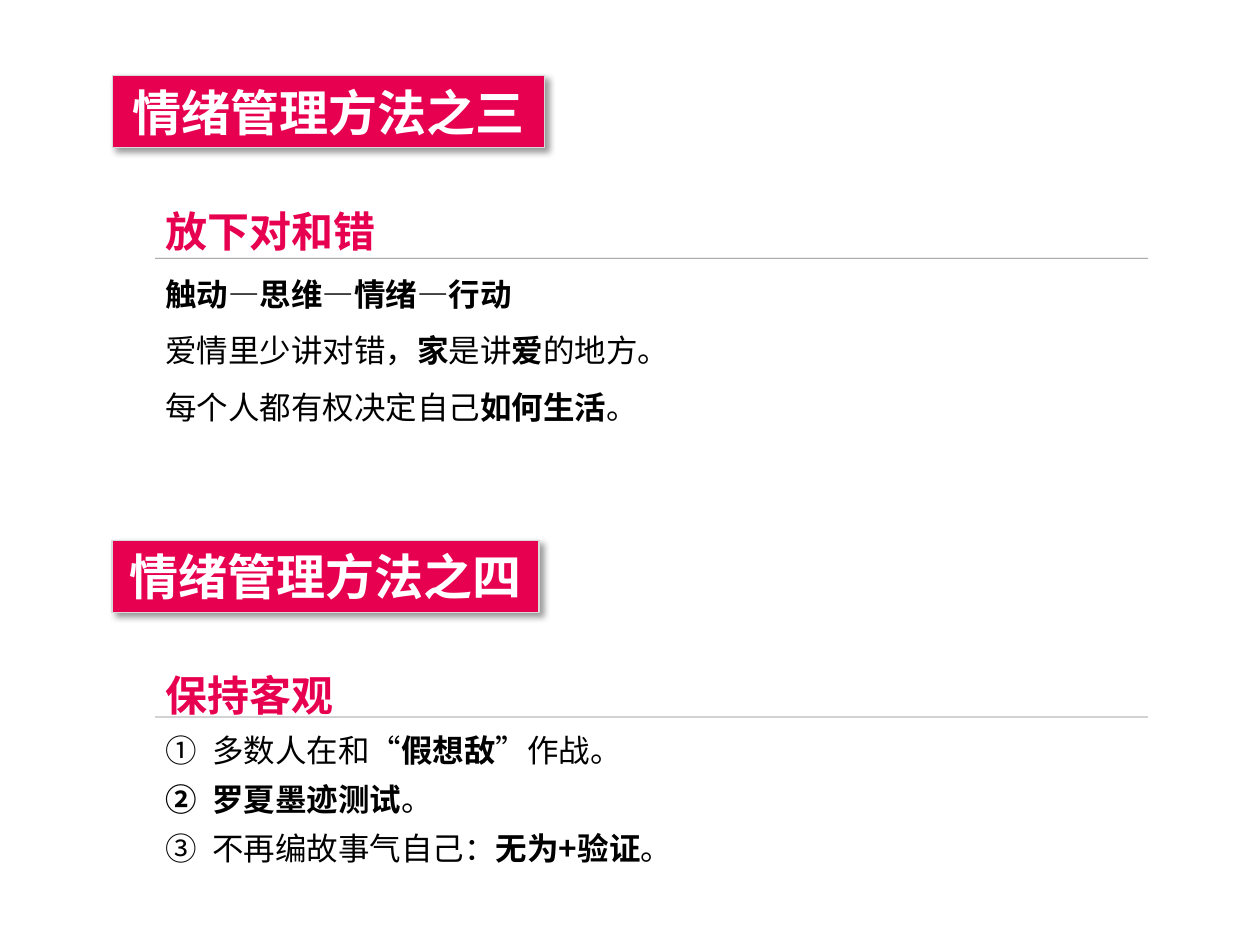
"""Build a slide with two emotion-management methods, each a banner, a rule and a list."""
import pptx
import pptx.dml.color
import pptx.enum.shapes
import pptx.enum.text
import pptx.oxml
import pptx.oxml.ns
import pptx.util
from lxml import etree

Pt = pptx.util.Pt
FONT = "Noto Sans CJK SC"
PINK, WHITE, BLACK, GREY = "E70050", "FFFFFF", "000000", "D9D9D9"
LEFT, BANNER_LEFT, BODY_WIDTH, RULE_WIDTH, BANNER_HEIGHT = 88.6, 64.1, 561.6, 567.4, 41

METHODS = [
    {
        "banner": "情绪管理方法之三", "banner_top": 43.2, "banner_width": 247,
        "heading": "放下对和错", "rule_top": 147.6, "body_top": 97.2, "body_height": 153.4,
        "spacing": 1.5, "numbered": False,
        "lines": [
            [("触动—思维—情绪—行动", True)],
            [("爱情里少讲对错，", False), ("家", True), ("是讲", False), ("爱", True), ("的地方。", False)],
            [("每个人都有权决定自己", False), ("如何生活", True), ("。", False)],
        ],
    },
    {
        "banner": "情绪管理方法之四", "banner_top": 308.9, "banner_width": 244,
        "heading": "保持客观", "rule_top": 409.7, "body_top": 362.2, "body_height": 137.5,
        "spacing": 1.3, "numbered": True,
        "lines": [
            [("多数人在和“", False), ("假想敌", True), ("”作战。", False)],
            [("罗夏墨迹测试", True), ("。", False)],
            [("不再编故事气自己：", False), ("无为+验证", True), ("。", False)],
        ],
    },
]


def color(value):
    return pptx.dml.color.RGBColor.from_string(value)


def add_xml(parent, tag, **attributes):
    return etree.SubElement(parent, pptx.oxml.ns.qn(tag), attributes)


def place(shape, left, top, width, height):
    shape.left, shape.top, shape.width, shape.height = Pt(left), Pt(top), Pt(width), Pt(height)


def set_font(paragraph, size, value):
    paragraph.font.size = Pt(size)
    paragraph.font.color.rgb = color(value)
    paragraph.font.name = FONT
    add_xml(paragraph.font._element, "a:ea", typeface=FONT)


def set_indent(paragraph, numbered):
    properties = paragraph._p.get_or_add_pPr()
    properties.set("marL", str(Pt(27) if numbered else 0))
    properties.set("indent", str(Pt(-27) if numbered else 0))
    if numbered:
        add_xml(properties, "a:buFont", typeface="+mj-lt")
        add_xml(properties, "a:buAutoNum", type="circleNumDbPlain")
    else:
        add_xml(properties, "a:buNone")


def format_banner(shape, method):
    place(shape, BANNER_LEFT, method["banner_top"], method["banner_width"], BANNER_HEIGHT)
    shape.fill.solid()
    shape.fill.fore_color.rgb = color(PINK)
    shape.line.color.rgb = color(GREY)
    shape.line.width = Pt(0.75)
    shape.shadow.inherit = False
    effects = shape._element.spPr.find(pptx.oxml.ns.qn("a:effectLst"))
    shadow = add_xml(effects, "a:outerShdw", blurRad=str(Pt(4)), dist=str(Pt(3)),
                     dir="2700000", algn="tl", rotWithShape="0")
    add_xml(add_xml(shadow, "a:srgbClr", val=BLACK), "a:alpha", val="40000")
    frame = shape.text_frame
    frame.text = method["banner"]
    frame.word_wrap = False
    frame.auto_size = pptx.enum.text.MSO_AUTO_SIZE.NONE
    frame.vertical_anchor = pptx.enum.text.MSO_ANCHOR.MIDDLE
    paragraph = frame.paragraphs[0]
    paragraph.alignment = pptx.enum.text.PP_ALIGN.CENTER
    set_font(paragraph, 28, WHITE)
    paragraph.font.bold = True


def fill_body(shape, method):
    place(shape, LEFT, method["body_top"], BODY_WIDTH, method["body_height"])
    frame = shape.text_frame
    frame.word_wrap = True
    frame.auto_size = pptx.enum.text.MSO_AUTO_SIZE.NONE
    frame.vertical_anchor = pptx.enum.text.MSO_ANCHOR.TOP
    frame.margin_left = frame.margin_right = frame.margin_top = frame.margin_bottom = Pt(5.76)
    for index, runs in enumerate([[(method["heading"], True)]] + method["lines"]):
        paragraph = frame.add_paragraph() if index else frame.paragraphs[0]
        set_indent(paragraph, method["numbered"] and index > 0)
        paragraph.space_before = Pt(0)
        paragraph.line_spacing = method["spacing"] if index else 1.5
        for text, bold in runs:
            run = paragraph.add_run()
            run.text = text
            run.font.bold = bold
        set_font(paragraph, 18 if index else 24, BLACK if index else PINK)


def add_rule(slide, top):
    rule = slide.shapes.add_connector(pptx.enum.shapes.MSO_CONNECTOR.STRAIGHT,
                                      Pt(LEFT), Pt(top), Pt(LEFT + RULE_WIDTH), Pt(top))
    rule.line.width = Pt(0.5)
    rule.line.color.rgb = color(BLACK)
    fill = rule.line._ln.find(".//" + pptx.oxml.ns.qn("a:srgbClr"))
    add_xml(fill, "a:alpha", val="50000")
    add_xml(rule._element.spPr, "a:effectLst")


def main():
    presentation = pptx.Presentation()
    presentation.slide_width, presentation.slide_height = Pt(720), Pt(540)
    slide = presentation.slides.add_slide(presentation.slide_layouts.get_by_name("Two Content"))
    title, *bodies = list(slide.placeholders)[:3]
    second_banner = slide.shapes.add_shape(pptx.enum.shapes.MSO_SHAPE.RECTANGLE, 0, 0, 0, 0)
    for method, banner, body in zip(METHODS, [title, second_banner], bodies):
        format_banner(banner, method)
        fill_body(body, method)
        add_rule(slide, method["rule_top"])
    presentation.save("out.pptx")


if __name__ == "__main__":
    main()
